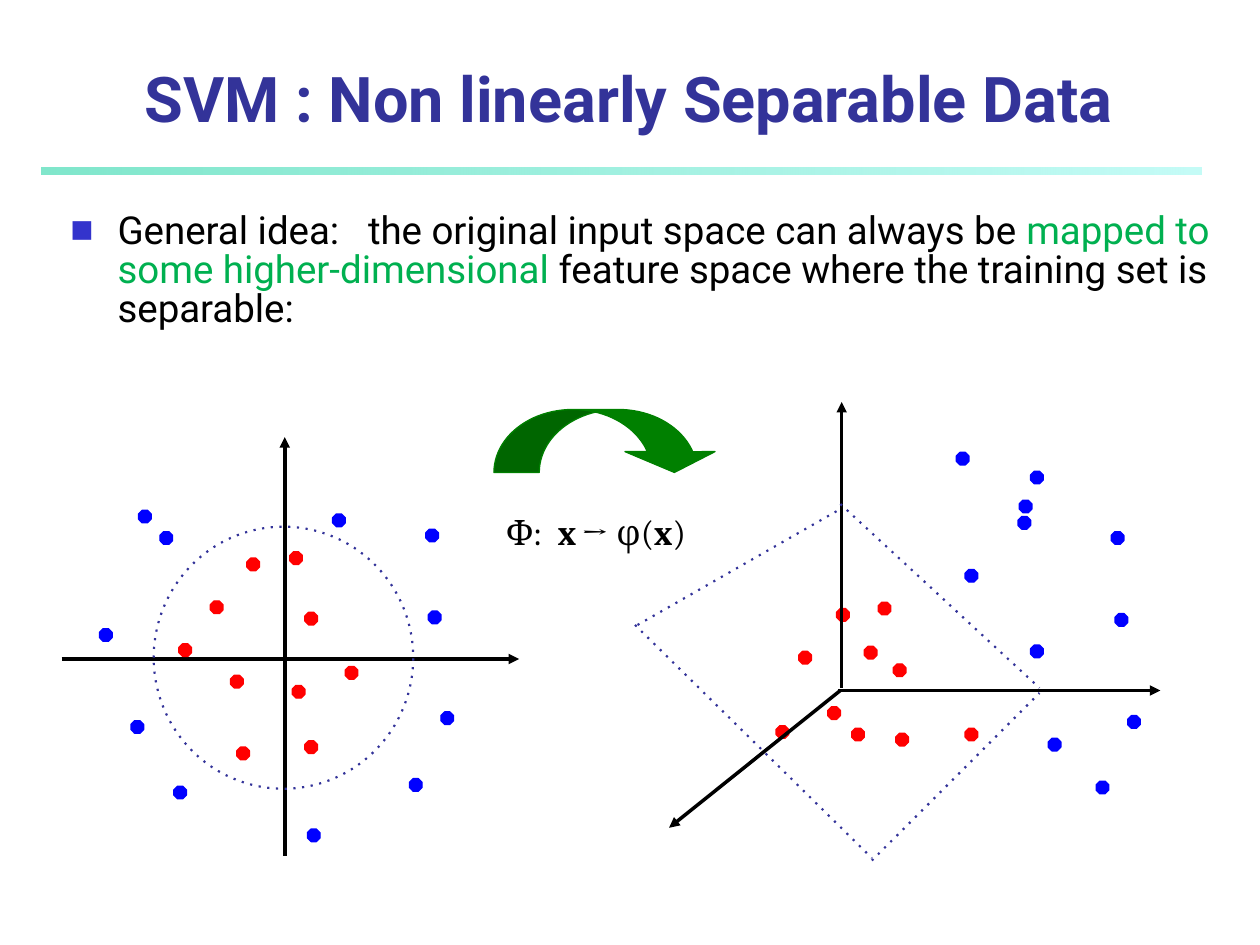
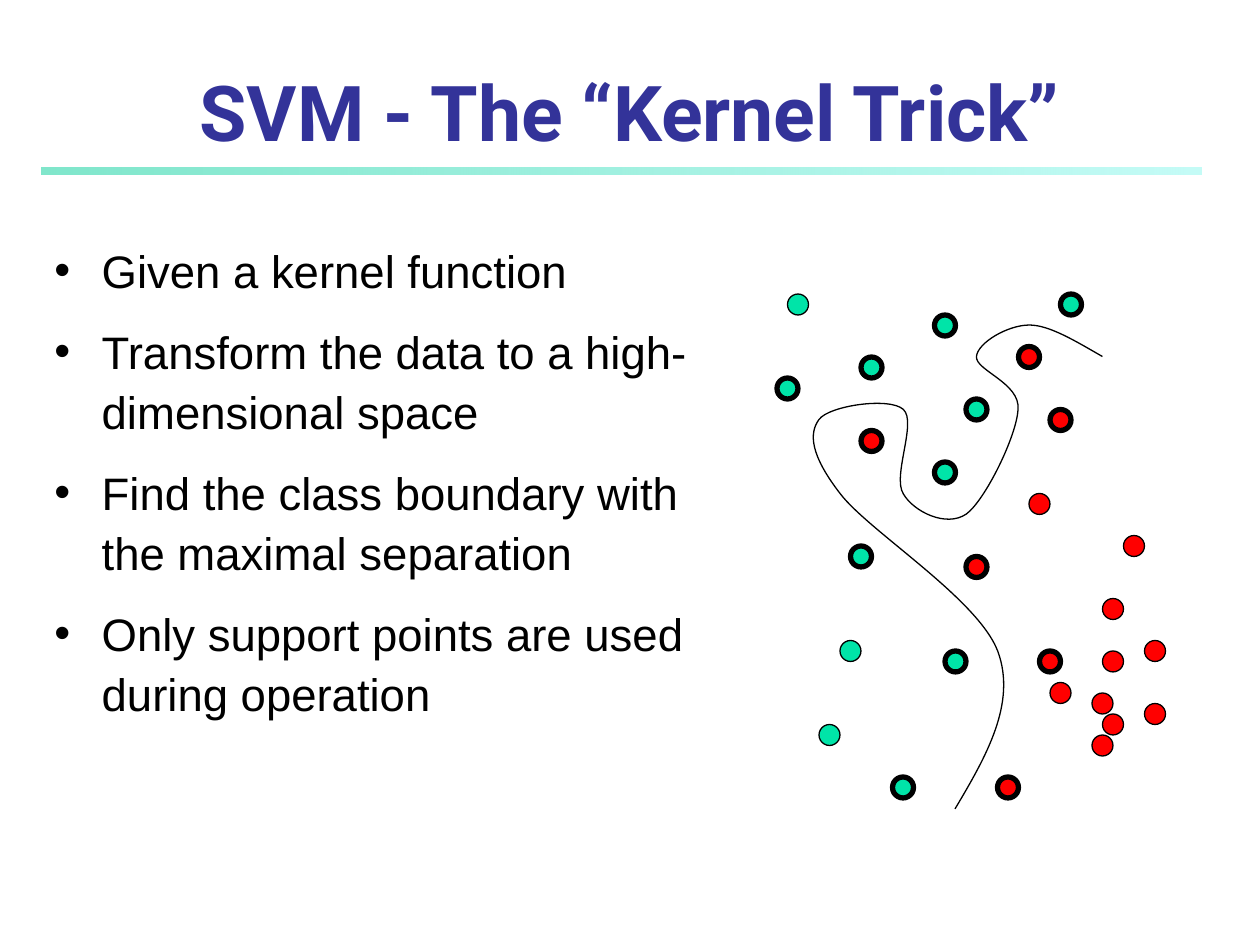
import pptx
import pptx.dml.color
import pptx.enum.shapes
import pptx.enum.text
import pptx.oxml.ns
import pptx.util
from lxml import etree

Inches = pptx.util.Inches
RGBColor = pptx.dml.color.RGBColor
Shape = pptx.enum.shapes.MSO_SHAPE
Anchor = pptx.enum.text.MSO_ANCHOR
Align = pptx.enum.text.PP_ALIGN
qn = pptx.oxml.ns.qn

BLACK = RGBColor(0x00, 0x00, 0x00)
NAVY = RGBColor(0x33, 0x33, 0x99)
BULLET_BLUE = RGBColor(0x33, 0x33, 0xCC)
HIGHLIGHT = RGBColor(0x00, 0xB0, 0x50)
RED = RGBColor(0xFF, 0x00, 0x00)
BLUE = RGBColor(0x00, 0x00, 0xFF)
ARROW_GREEN = RGBColor(0x00, 0x80, 0x00)
MINT = RGBColor(0x00, 0xE4, 0xA8)
BAND_STOPS = [(RGBColor(0x00, 0xCE, 0x98), 50), (RGBColor(0x8F, 0xF9, 0xEF), 52)]

GRID = 1 / 12
HANGING = 4.5 * GRID
DOT_SIZE = 0.1
POINT_SIZE = 2 * GRID
THIN = 0.75
THICK = 3

INPUT_RED = [(2.3, 4.38), (1.67, 4.77), (1.83, 5.36), (2.42, 5.88), (1.96, 4.43),
             (1.42, 5.11), (1.88, 5.93), (2.42, 4.86), (2.74, 5.29), (2.32, 5.44)]
INPUT_BLUE = [(3.4, 4.85), (3.25, 6.18), (0.79, 4.99), (2.44, 6.58), (3.5, 5.65), (1.38, 6.24),
              (1.04, 5.72), (1.1, 4.05), (2.64, 4.08), (1.27, 4.22), (3.38, 4.2)]
FEATURE_RED = [(6.97, 4.78), (6.34, 5.17), (6.76, 5.78), (7.66, 5.78), (6.64, 4.83),
               (6.86, 5.13), (7.11, 5.82), (7.09, 5.27), (6.57, 5.61), (6.16, 5.76)]
FEATURE_BLUE = [(8.85, 4.87), (8.7, 6.2), (8.18, 3.74), (8.18, 5.12), (8.95, 5.68), (7.66, 4.52),
                (8.32, 5.86), (8.09, 3.97), (8.08, 4.1), (7.59, 3.59), (8.82, 4.22)]
INPUT_AXES = [((2.26, 6.79), (2.26, 3.47)), ((0.49, 5.23), (4.12, 5.23))]
FEATURE_AXES = [((6.68, 5.46), (6.68, 3.19)), ((6.65, 5.48), (9.21, 5.48)),
                ((6.67, 5.48), (5.31, 6.57))]
PLANE_EDGES = [((6.67, 4), (8.25, 5.46)), ((6.92, 6.83), (8.25, 5.5)),
               ((5.06, 4.96), (6.67, 4.04)), ((5.04, 4.96), (6.92, 6.81))]

MINT_PLAIN = [(78, 69), (80, 61), (75, 28)]
MINT_SUPPORT = [(90, 62), (85, 74), (81, 52), (89, 44), (74, 36),
                (89, 30), (82, 34), (92, 38), (101, 28)]
RED_PLAIN = [(109, 67), (107, 51), (98, 47), (105, 57), (100, 65),
             (105, 62), (104, 66), (104, 70), (109, 61), (105, 68)]
RED_SUPPORT = [(97, 33), (82, 41), (95, 74), (99, 62), (92, 53), (100, 39)]
BOUNDARY_START = (8.75, 2.83)
BOUNDARY_CURVES = [
    ((8.54, 2.71), (8.33, 2.58), (8.17, 2.58)),
    ((8, 2.58), (7.76, 2.72), (7.75, 2.83)),
    ((7.74, 2.94), (8.1, 3.04), (8.08, 3.25)),
    ((8.07, 3.46), (7.82, 3.97), (7.67, 4.08)),
    ((7.51, 4.19), (7.25, 4.06), (7.17, 3.92)),
    ((7.08, 3.78), (7.28, 3.35), (7.17, 3.25)),
    ((7.06, 3.15), (6.58, 3.22), (6.5, 3.33)),
    ((6.42, 3.44), (6.43, 3.61), (6.67, 3.92)),
    ((6.9, 4.22), (7.76, 4.75), (7.92, 5.17)),
    ((8.07, 5.58), (7.83, 6), (7.58, 6.42)),
]


def set_line(shape, color, width, dotted=False, arrow=False):
    """Style the outline of a shape or connector."""
    shape.line.color.rgb = color
    shape.line.width = pptx.util.Pt(width)
    outline = shape.element.find(".//" + qn("a:ln"))
    if dotted:
        etree.SubElement(outline, qn("a:prstDash"), val="dot")
    if arrow:
        etree.SubElement(outline, qn("a:tailEnd"), type="triangle")


def add_figure(page, kind, place, fill=None, line=None, width=THIN, dotted=False):
    """Add a preset shape with an optional fill and outline."""
    shape = page.shapes.add_shape(kind, *map(Inches, place))
    shape.shadow.inherit = False
    if fill is None:
        shape.fill.background()
    else:
        shape.fill.solid()
        shape.fill.fore_color.rgb = fill
    if line is None:
        shape.line.fill.background()
    else:
        set_line(shape, line, width, dotted)
    return shape


def add_points(page, kind, size, corners, fill, line, width=THIN):
    """Add equal markers at the given top left corners."""
    for left, top in corners:
        add_figure(page, kind, (left, top, size, size), fill, line, width)


def add_lines(page, segments, color, width, **style):
    """Add straight connectors between pairs of points."""
    for start, end in segments:
        line = page.shapes.add_connector(pptx.enum.shapes.MSO_CONNECTOR.STRAIGHT,
                                         *map(Inches, start + end))
        set_line(line, color, width, **style)
        etree.SubElement(line.element.spPr, qn("a:effectLst"))


def add_box(page, place, anchor=Anchor.TOP):
    """Add a wrapping text box and return its text frame."""
    frame = page.shapes.add_textbox(*map(Inches, place)).text_frame
    frame.word_wrap = True
    frame.vertical_anchor = anchor
    return frame


def add_span(para, text, *, font, size, color=BLACK, bold=False, spacing=0):
    """Add formatted text to a paragraph, with letter spacing in points."""
    span = para.add_run()
    span.text = text
    span.font.name = font
    span.font.size = pptx.util.Pt(size)
    span.font.bold = bold
    span.font.color.rgb = color
    if spacing:
        span.font._element.set("spc", str(round(spacing * 100)))


def set_bullet(para, symbol, color, line_spacing, space_before=0):
    """Give a paragraph a hanging bullet and its spacing."""
    para.line_spacing = line_spacing
    para.space_before = pptx.util.Pt(space_before)
    properties = para._p.get_or_add_pPr()
    properties.set("marL", str(Inches(HANGING)))
    properties.set("indent", str(-Inches(HANGING)))
    bullet_color = etree.SubElement(properties, qn("a:buClr"))
    etree.SubElement(bullet_color, qn("a:srgbClr"), val=str(color))
    etree.SubElement(properties, qn("a:buFont"), typeface="Arial")
    etree.SubElement(properties, qn("a:buChar"), char=symbol)


def add_page(deck, title, place, size):
    """Add a blank page with the gradient band and a title."""
    page = deck.slides.add_slide(deck.slide_layouts[6])
    band = add_figure(page, Shape.RECTANGLE, (4 * GRID, 16 * GRID, 9.2, 0.05))
    band.fill.gradient()
    band.fill.gradient_angle = 0
    for stop, (color, _) in zip(band.fill.gradient_stops, BAND_STOPS):
        stop.color.rgb = color
    colors = band.element.spPr.iter(qn("a:srgbClr"))
    for element, (_, opacity) in zip(list(colors), BAND_STOPS):
        etree.SubElement(element, qn("a:alpha"), val=str(opacity * 1000))
    para = add_box(page, place, Anchor.BOTTOM).paragraphs[0]
    para.alignment = Align.CENTER
    add_span(para, title, font="Roboto", size=size, color=NAVY, bold=True)
    return page


def add_boundary(page):
    """Draw the class boundary, turning each three corners into one cubic curve."""
    builder = page.shapes.build_freeform(*map(Inches, BOUNDARY_START))
    builder.add_line_segments([tuple(map(Inches, corner))
                               for curve in BOUNDARY_CURVES for corner in curve], close=False)
    boundary = builder.convert_to_shape()
    boundary.shadow.inherit = False
    boundary.fill.background()
    set_line(boundary, BLACK, THIN)
    segments = list(boundary.element.iter(qn("a:lnTo")))
    for first, second, end in zip(*[iter(segments)] * 3):
        curve = etree.Element(qn("a:cubicBezTo"))
        first.addprevious(curve)
        for segment in (first, second, end):
            curve.append(segment[0])
            segment.getparent().remove(segment)


def build_mapping_page(deck):
    """Show the mapping from input space to feature space."""
    page = add_page(deck, "SVM : Non linearly Separable Data", (0.49, 0.44, 9, 0.68), 36)
    para = add_box(page, (0.46, 1.64, 9.33, 5.17)).paragraphs[0]
    set_bullet(para, "■", BULLET_BLUE, 0.85)
    body = {"font": "Roboto", "size": 22}
    add_span(para, "General idea:", **body)
    add_span(para, " ", spacing=10.9, **body)
    add_span(para, "the original input space can always be ", **body)
    add_span(para, "mapped to some higher-dimensional", color=HIGHLIGHT, **body)
    add_span(para, " feature space where the training set is separable:", **body)

    add_lines(page, INPUT_AXES, BLACK, 2, arrow=True)
    add_points(page, Shape.OCTAGON, DOT_SIZE, INPUT_RED, RED, RED)
    add_points(page, Shape.OCTAGON, DOT_SIZE, INPUT_BLUE, BLUE, BLUE)
    add_figure(page, Shape.OVAL, (1.22, 4.18, 2.06, 2.08), line=NAVY, width=1.25, dotted=True)
    add_points(page, Shape.OCTAGON, DOT_SIZE, FEATURE_RED, RED, RED)
    add_points(page, Shape.OCTAGON, DOT_SIZE, FEATURE_BLUE, BLUE, BLUE)
    add_lines(page, FEATURE_AXES, BLACK, 2, arrow=True)
    add_lines(page, PLANE_EDGES, NAVY, 1.25, dotted=True)

    arrow = add_figure(page, Shape.CURVED_DOWN_ARROW, (3.92, 3.25, 1.79, 0.5),
                       ARROW_GREEN, ARROW_GREEN)
    for index, value in enumerate((0.72, 1.43, 0.33)):
        arrow.adjustments[index] = value
    para = add_box(page, (3.92, 4, 2.08, 0.43)).paragraphs[0]
    formula = {"font": "Cambria", "size": 20}
    add_span(para, "Φ:", **formula)
    add_span(para, " ", spacing=4.4, **formula)
    add_span(para, "x →", bold=True, spacing=-0.8, **formula)
    for text, bold in ((" φ(", False), ("x", True), (")", False)):
        add_span(para, text, bold=bold, **formula)


def build_kernel_page(deck):
    """Show the kernel steps beside a curved class boundary."""
    page = add_page(deck, "SVM - The “Kernel Trick”", (0.5, 6.5 * GRID, 9, 0.75), 44)
    frame = add_box(page, (4 * GRID, 22 * GRID, 5.25, 55 * GRID))
    steps = ["Given a kernel function",
             "Transform the data to a high-dimensional space",
             "Find the class boundary with the maximal separation",
             "Only support points are used during operation"]
    for index, step in enumerate(steps):
        para = frame.add_paragraph() if index else frame.paragraphs[0]
        set_bullet(para, "•", BLACK, 1.1, 12 if index else 0)
        add_span(para, step, font="Arial", size=26)
    for cells, fill, width in ((MINT_PLAIN, MINT, THIN), (MINT_SUPPORT, MINT, THICK),
                               (RED_PLAIN, RED, THIN), (RED_SUPPORT, RED, THICK)):
        corners = [(column * GRID, row * GRID) for column, row in cells]
        add_points(page, Shape.OVAL, POINT_SIZE, corners, fill, BLACK, width)
    add_boundary(page)


def main():
    """Build and save the deck."""
    deck = pptx.Presentation()
    deck.slide_width = Inches(10)
    deck.slide_height = Inches(7.5)
    build_mapping_page(deck)
    build_kernel_page(deck)
    deck.save("out.pptx")


if __name__ == "__main__":
    main()
